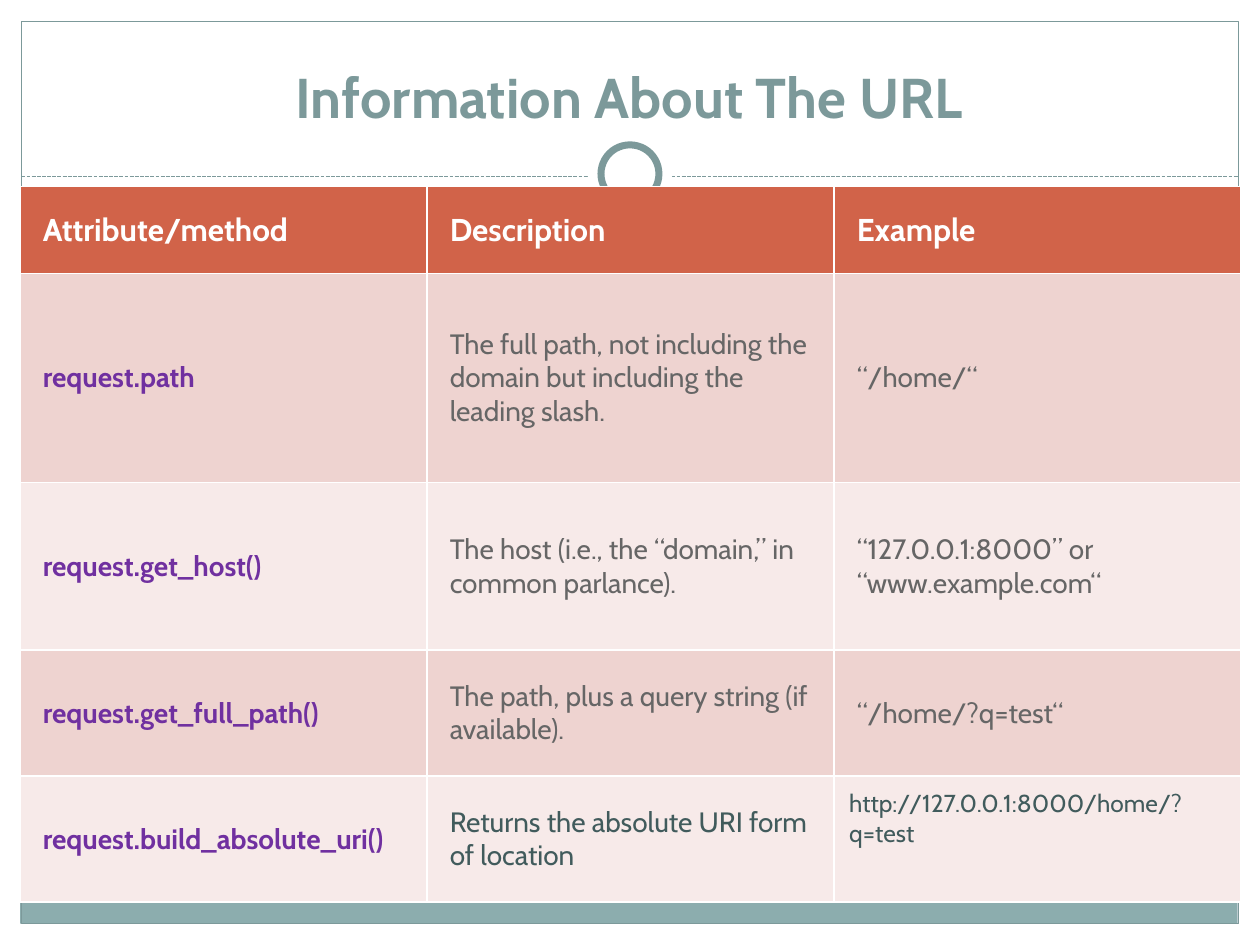
"""Builds a slide with a table of request attributes that describe the URL."""
import pptx
import pptx.dml.color
import pptx.enum.dml
import pptx.enum.shapes
import pptx.enum.text
import pptx.oxml
import pptx.oxml.ns
import pptx.util

Inches = pptx.util.Inches
Pt = pptx.util.Pt
SHAPE = pptx.enum.shapes.MSO_SHAPE
ANCHOR = pptx.enum.text.MSO_ANCHOR
ALIGN = pptx.enum.text.PP_ALIGN


def color(value):
    return pptx.dml.color.RGBColor.from_string(value)


def write(frame, text, size=16, ink="666666", bold=False, align=ALIGN.LEFT,
          anchor=ANCHOR.MIDDLE):
    frame.word_wrap = True
    frame.vertical_anchor = anchor
    para = frame.paragraphs[0]
    para.alignment = align
    span = para.add_run()
    span.text = text
    span.font.name = "Cabin"
    span.font.size = Pt(size)
    span.font.bold = bold
    span.font.color.rgb = color(ink)


deck = pptx.Presentation()
deck.slide_width = Inches(10)
deck.slide_height = Inches(7.5)
page = deck.slides.add_slide(deck.slide_layouts[6])
page.background.fill.solid()
page.background.fill.fore_color.rgb = color("C5D1D7")

panels = [
    (0, 7.33, 10, 0.17, "FFFFFF"),
    (0, 0, 10, 1.52, "FFFFFF"),
    (0, 0, 0.17, 7.5, "FFFFFF"),
    (9.83, 0, 0.17, 7.5, "FFFFFF"),
    (0.16, 6.99, 9.66, 0.34, "8CADAE"),
]
for *place, fill in panels:
    panel = page.shapes.add_shape(SHAPE.RECTANGLE, *map(Inches, place))
    panel.shadow.inherit = False
    panel.fill.solid()
    panel.fill.fore_color.rgb = color(fill)
    panel.line.fill.background()

frame_border = page.shapes.add_shape(
    SHAPE.RECTANGLE, Inches(0.17), Inches(0.17), Inches(9.66), Inches(7.16))
frame_border.shadow.inherit = False
frame_border.fill.background()
frame_border.line.color.rgb = color("7C999A")
frame_border.line.width = Pt(0.75)

divider = page.shapes.add_connector(
    pptx.enum.shapes.MSO_CONNECTOR.STRAIGHT,
    Inches(0.17), Inches(1.4), Inches(9.83), Inches(1.4))
divider.line.color.rgb = color("7C999A")
divider.line.width = Pt(0.75)
divider.line.dash_style = pptx.enum.dml.MSO_LINE.SQUARE_DOT
divider._element.spPr.append(pptx.oxml.parse_xml(
    "<a:effectLst %s/>" % pptx.oxml.ns.nsdecls("a")))

for size, outlined in [(0.67, False), (0.46, True)]:
    ring = page.shapes.add_shape(
        SHAPE.OVAL, Inches(5 - size / 2), Inches(1.38 - size / 2),
        Inches(size), Inches(size))
    ring.shadow.inherit = False
    ring.fill.solid()
    ring.fill.fore_color.rgb = color("FFFFFF")
    if outlined:
        ring.line.color.rgb = color("7C999A")
        ring.line.width = Pt(4)
    else:
        ring.line.fill.background()

title = page.shapes.add_textbox(
    Inches(0.33), Inches(0.25), Inches(9.33), Inches(0.83))
write(title.text_frame, "Information About The URL", size=32, ink="7C999A",
      bold=True, align=ALIGN.CENTER, anchor=ANCHOR.BOTTOM)

rows = [
    ("Attribute/method", "Description", "Example"),
    ("request.path",
     "The full path, not including the domain but including the leading slash.",
     "“/home/“"),
    ("request.get_host()",
     "The host (i.e., the “domain,” in common parlance).",
     "“127.0.0.1:8000” or “www.example.com“"),
    ("request.get_full_path()",
     "The path, plus a query string (if available).",
     "“/home/?q=test“"),
    ("request.build_absolute_uri()",
     "Returns the absolute URI form of location",
     "http://127.0.0.1:8000/home/?q=test"),
]
heights = [0.69, 1.66, 1.33, 1, 1]
table = page.shapes.add_table(
    len(rows), 3, Inches(0.16), Inches(1.48), Inches(9.69),
    Inches(sum(heights))).table
for column in table.columns:
    column.width = Inches(3.23)

last = len(rows) - 1
for r, (texts, height) in enumerate(zip(rows, heights)):
    table.rows[r].height = Inches(height)
    for c, text in enumerate(texts):
        cell = table.cell(r, c)
        cell.fill.solid()
        cell.margin_left = cell.margin_right = Inches(0.18)
        cell.margin_top = cell.margin_bottom = Inches(0.18)
        cell.vertical_anchor = ANCHOR.MIDDLE
        look = {"ink": "415B5C" if r == last else "666666"}
        if r == 0:
            fill = "D16349"
            look = {"size": 18, "ink": "FFFFFF", "bold": True}
        else:
            fill = "EED3D0" if r % 2 else "F7EAE9"
            if c == 0:
                look = {"ink": "7030A0", "bold": True}
        if (r, c) == (last, 2):
            look["size"] = 14
            cell.vertical_anchor = ANCHOR.TOP
            cell.margin_left = Inches(0.12)
            cell.margin_right = Inches(0.1)
            cell.margin_top = cell.margin_bottom = Inches(0.1)
        cell.fill.fore_color.rgb = color(fill)
        write(cell.text_frame, text, **look)

deck.save("out.pptx")
